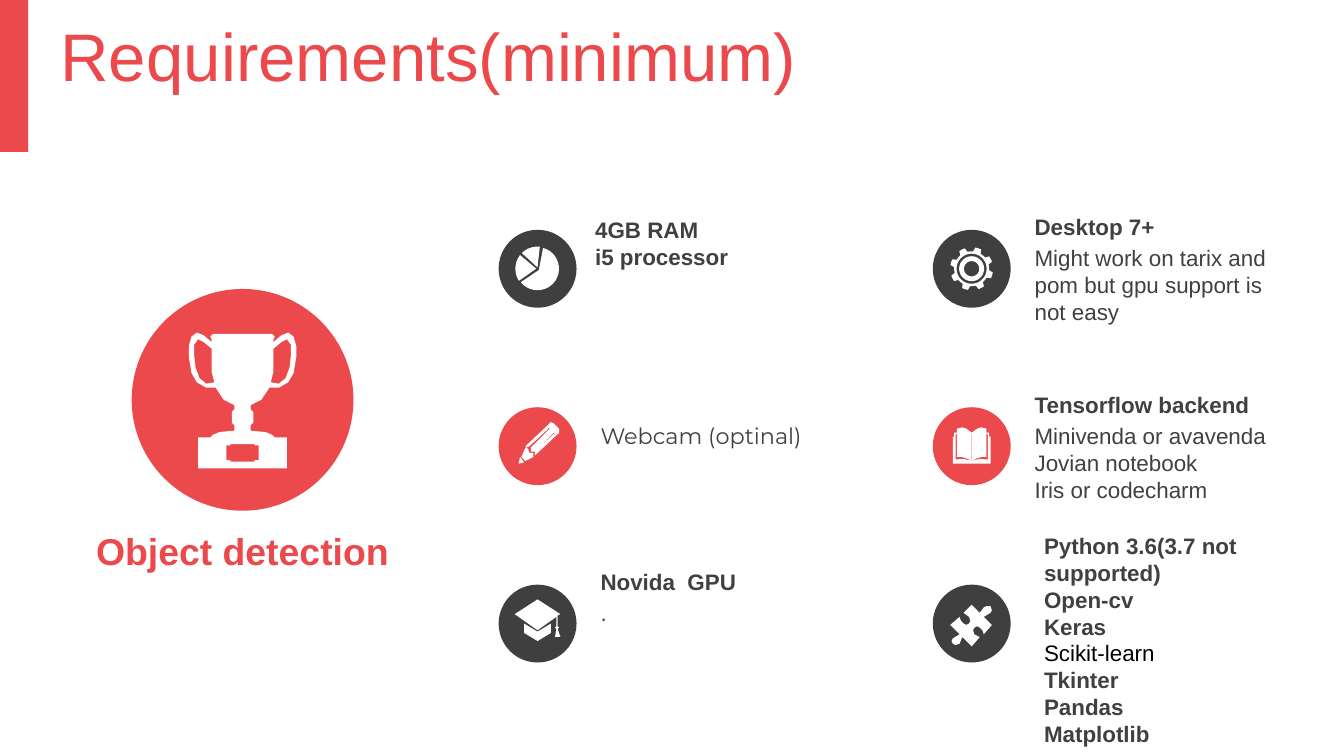
from dataclasses import dataclass
from math import cos, radians, sin

from pptx import Presentation
from pptx.dml.color import RGBColor
from pptx.enum.shapes import MSO_SHAPE
from pptx.enum.text import MSO_ANCHOR, PP_ALIGN
from pptx.util import Inches, Pt


@dataclass(frozen=True)
class Theme:
    red: RGBColor = RGBColor(0xEB, 0x49, 0x4B)
    dark: RGBColor = RGBColor(0x3F, 0x3F, 0x3F)
    text: RGBColor = RGBColor(0x40, 0x40, 0x40)
    black: RGBColor = RGBColor(0, 0, 0)
    white: RGBColor = RGBColor(0xFF, 0xFF, 0xFF)
    font: str = "Arial"
    accent_font: str = "Montserrat"
    title_size: int = 36
    label_size: int = 20
    body_size: int = 12


THEME = Theme()
BADGE = 0.58
HEADING_Y, DETAIL_Y = -0.17, 0.06


# Icon outlines: hundredths of an inch, measured from the badge's centre.
def arc(radius, start, end, step=10):
    count = max(2, round((end - start) / step) + 1)
    angles = [radians(start + (end - start) * i / (count - 1)) for i in range(count)]
    return [(radius * cos(a), radius * sin(a)) for a in angles]


def flip(points):
    return [(-x, y) for x, y in points]


def symmetric(half):
    """Close a right-hand outline with its mirror image."""
    return half + flip(half)[::-1]


def pie_icon():
    return [[(-1, 0)] + arc(16.5, 147, 218), [(0, -1)] + arc(16.5, 225, 276),
            [(1, 1)] + arc(16, -75, 141)]


def gear_icon():
    outline = []
    for tooth in range(8):
        angle = -72 + 45 * tooth
        outline += arc(13, angle - 32, angle - 13)
        outline += arc(16, angle - 8, angle + 8)
    return [outline] + [arc(radius, 0, 360) for radius in (11.2, 9.3, 5.7)]


def book_icon():
    cover = [(0, -10), (4, -13), (7, -14), (11, -13), (11, -10), (13, -10),
             (13, -7), (14, -7), (14, 13)]
    page_edge = [(0.2, 11), (4, 9), (8, 8), (11, 8), (11, -9), (12, -9), (12, 10), (6, 9.5)]
    spine = [(0.2, -9), (0.2, 11)]
    return [symmetric(cover), page_edge, flip(page_edge), symmetric(spine)]


def trophy_icon():
    body = [(0, -49), (22, -49), (24, -47), (23, -45), (23, -43), (29, -48), (34, -50),
            (38, -47), (40, -40), (40, -32), (38, -20), (34, -13), (27, -9), (20, -9),
            (14, 0), (6, 4), (6, 7), (8, 9), (8, 17), (6, 19), (6, 23), (17, 24),
            (22, 26), (24, 28), (33, 28), (33, 51)]
    handle = [(33, -45), (29, -43), (23, -38), (23, -21), (21, -13), (27, -12),
              (32, -16), (35, -24), (36, -33), (36, -41)]
    plaque = [(9, 33), (9, 34), (12, 34), (12, 45), (9, 45), (9, 46)]
    return [symmetric(body), handle, flip(handle), symmetric(plaque)]


PENCIL = [
    [(-13, 8), (-10, 12), (-14, 13)],
    [(-9, 1), (-7, 2), (-6, 5), (-3, 5), (-3, 8), (-9, 11), (-12, 8)],
    [(12, -9), (14, -8), (-2, 7), (-2, 4)],
    [(9, -13), (12, -10), (-2, 4), (-5, 4), (-5, 1)],
    [(7, -15), (8, -13), (-6, 0), (-8, 1), (-9, 0)],
    [(10, -18), (12, -17), (16, -13), (16, -10), (14, -8), (7, -15), (9, -17)],
]
CAP = [
    [(-10, 0), (0, 6), (10, 0), (10, 7), (0, 13), (-10, 7)],
    [(0, -18), (17, -7), (15, -6), (15, 2), (16, 3), (15, 4), (17, 10), (13, 10),
     (14, 4), (13, 3), (14, 2), (14, -5), (0, 5), (-17, -7)],
]
PUZZLE = [[
    (14, -13), (15, -10), (14, -8), (9, -5), (15, 1), (9, 8), (8, 5), (6, 3), (4, 2),
    (2, 3), (1, 5), (2, 8), (6, 10), (0, 17), (-7, 10), (-9, 15), (-12, 16), (-14, 15),
    (-15, 13), (-14, 11), (-9, 8), (-16, 1), (-9, -5), (-8, -2), (-6, 0), (-4, 1),
    (-2, 0), (-1, -2), (-2, -5), (-6, -8), (0, -14), (6, -8), (9, -12), (11, -13),
]]


def paint(shape, color):
    shape.fill.solid()
    shape.fill.fore_color.rgb = color
    shape.line.fill.background()
    shape.shadow.inherit = False


def add_filled(page, kind, left, top, width, height, color):
    shape = page.shapes.add_shape(kind, Inches(left), Inches(top), Inches(width), Inches(height))
    paint(shape, color)


def add_badge(page, left, top, size, color, icon):
    """Draw a disc with a white icon in its middle."""
    add_filled(page, MSO_SHAPE.OVAL, left, top, size, size, color)
    centre_x, centre_y = left + size / 2, top + size / 2
    builder = None
    for contour in icon:
        points = [(Inches(centre_x + x / 100), Inches(centre_y + y / 100)) for x, y in contour]
        if builder is None:
            builder = page.shapes.build_freeform(*points[0])
        else:
            builder.move_to(*points[0])
        builder.add_line_segments(points[1:], close=True)
    paint(builder.convert_to_shape(), THEME.white)


def style(para, size, color, bold=False, font=THEME.font):
    para.font.name, para.font.size, para.font.bold = font, Pt(size), bold
    para.font.color.rgb = color


def add_text(page, left, top, width, height, lines, size=THEME.body_size,
             color=THEME.text, bold=False, font=THEME.font, align=PP_ALIGN.LEFT):
    box = page.shapes.add_textbox(Inches(left), Inches(top), Inches(width), Inches(height))
    frame = box.text_frame
    frame.word_wrap = True
    frame.text = "\n".join(lines)
    for para in frame.paragraphs:
        para.alignment = align
        style(para, size, color, bold, font)
    return box


def add_header(page):
    add_filled(page, MSO_SHAPE.RECTANGLE, 0, 0, 0.21, 1.13, THEME.red)
    title = page.shapes.title
    title.left, title.top = Inches(0.35), Inches(0.09)
    title.width, title.height = Inches(7.87), Inches(0.63)
    title.text_frame.text = "Requirements(minimum)"
    title.text_frame.vertical_anchor = MSO_ANCHOR.MIDDLE
    para = title.text_frame.paragraphs[0]
    para.alignment = PP_ALIGN.LEFT
    style(para, THEME.title_size, THEME.red)


def add_goal(page, left, top, width):
    size = 1.65
    add_badge(page, left + (width - size) / 2, top, size, THEME.red, trophy_icon())
    add_text(page, left, top + 1.73, width, 0.44, ["Object detection"],
             THEME.label_size, THEME.red, bold=True, align=PP_ALIGN.CENTER)


def add_requirement(page, left, top, color, icon, heading=(), detail=(), shift=0.66,
                    heading_y=HEADING_Y, font=THEME.font, height=None):
    """Place a badge with a bold heading and plain details; return the text boxes."""
    add_badge(page, left, top, BADGE, color, icon)
    boxes = []
    for lines, offset, bold in ((heading, heading_y, True), (detail, DETAIL_Y, False)):
        if lines:
            own_height = 0.3 if heading and detail and bold else height
            boxes.append(add_text(page, left + shift, top + offset, 1.97,
                                  own_height or 0.3, lines, bold=bold, font=font))
    return boxes


def add_requirements(page, left, top):
    columns = [
        [dict(icon=pie_icon(), heading=["4GB RAM", "i5 processor"], shift=0.62,
              heading_y=-0.15, height=0.91),
         dict(icon=PENCIL, detail=["Webcam (optinal)"], font=THEME.accent_font, height=0.5),
         dict(icon=CAP, heading=["Novida  GPU"], detail=["."])],
        [dict(icon=gear_icon(), heading=["Desktop 7+"], height=0.71,
              detail=["Might work on tarix and pom but gpu support is not easy"]),
         dict(icon=book_icon(), heading=["Tensorflow backend"], height=0.71,
              detail=["Minivenda or avavenda", "Jovian notebook", "Iris or codecharm"]),
         dict(icon=PUZZLE, shift=0.73, heading_y=-0.44, height=2.12,
              heading=["Python 3.6(3.7 not supported)", "Open-cv", "Keras", "Scikit-learn",
                       "Tkinter", "Pandas", "Matplotlib"])],
    ]
    for column, items in enumerate(columns):
        for row, item in enumerate(items):
            color = THEME.red if row == 1 else THEME.dark
            boxes = add_requirement(page, left + 3.23 * column, top + 1.32 * row, color, **item)
    libraries = boxes[0].text_frame.paragraphs
    style(libraries[3], THEME.body_size, THEME.black)


def main():
    deck = Presentation()
    deck.slide_width, deck.slide_height = Inches(10), Inches(10 * 9 / 16)
    page = deck.slides.add_slide(deck.slide_layouts[5])
    add_header(page)
    add_goal(page, 0.5, 2.15, 2.61)
    add_requirements(page, 3.71, 1.71)
    deck.save("out.pptx")


if __name__ == "__main__":
    main()
